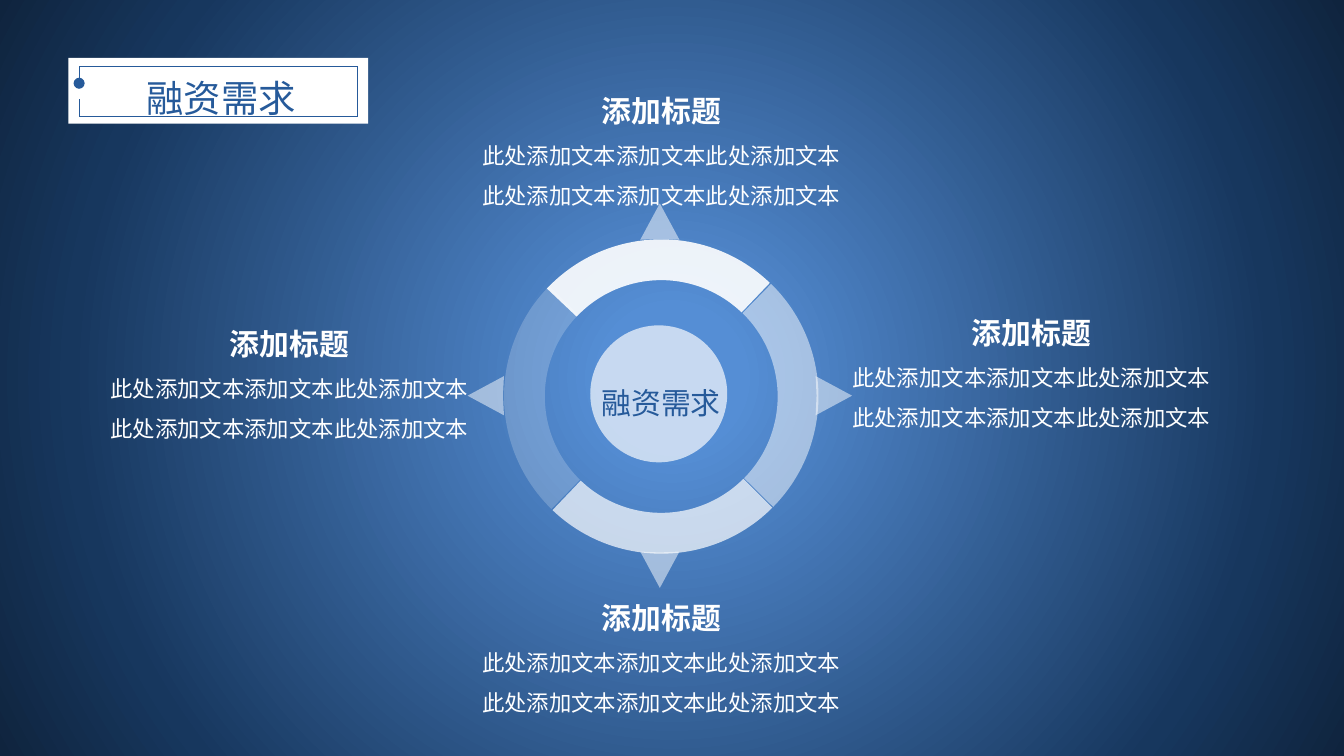
from lxml.etree import SubElement
from pptx import Presentation
from pptx.dml.color import RGBColor
from pptx.enum.shapes import MSO_CONNECTOR, MSO_SHAPE
from pptx.enum.text import MSO_ANCHOR, MSO_AUTO_SIZE, PP_ALIGN
from pptx.oxml import parse_xml
from pptx.oxml.ns import nsdecls, qn
from pptx.util import Pt

BLUE, WHITE = "265A9A", "FFFFFF"
FONT = "Noto Sans CJK SC"
FRAME_FORMAT = {"word_wrap": True, "auto_size": MSO_AUTO_SIZE.SHAPE_TO_FIT_TEXT,
                "vertical_anchor": MSO_ANCHOR.TOP}
PARAGRAPH_FORMAT = {"alignment": PP_ALIGN.CENTER, "line_spacing": 1.5}


def paint(fill, color, opacity=100):
    fill.solid()
    fill.fore_color.rgb = RGBColor.from_string(color)
    if opacity < 100:
        # The last srgbClr below the fill's parent is the one just set
        srgb = list(fill._xPr.iter(qn("a:srgbClr")))[-1]
        SubElement(srgb, qn("a:alpha"), val=str(opacity * 1000))


def write(frame, lines, color):
    for name, value in FRAME_FORMAT.items():
        setattr(frame, name, value)
    for i, (text, size, bold) in enumerate(lines):
        paragraph = frame.paragraphs[0] if i == 0 else frame.add_paragraph()
        for name, value in PARAGRAPH_FORMAT.items():
            setattr(paragraph, name, value)
        run = paragraph.add_run()
        run.text = text
        for name, value in {"size": Pt(size), "bold": bold, "name": FONT}.items():
            setattr(run.font, name, value)
        paint(run.font.fill, color)
        SubElement(run.font._element, qn("a:ea"), typeface=FONT)


prs = Presentation()
prs.slide_width, prs.slide_height = Pt(720), Pt(405)
slide = prs.slides.add_slide(prs.slide_layouts[5])
shapes = slide.shapes

# Radial background
slide.background.fill.solid()
background = slide.element.find(".//" + qn("p:bgPr"))
stops = "".join(f'<a:gs pos="{pos}000"><a:srgbClr val="{color}"/></a:gs>'
                for pos, color in [(9, "558ED5"), (78, "17375E"), (100, "0F243E")])
background.replace(background[0], parse_xml(
    f'<a:gradFill {nsdecls("a")} rotWithShape="1"><a:gsLst>{stops}</a:gsLst>'
    '<a:path path="circle"><a:fillToRect l="50000" t="50000" r="50000" b="50000"/>'
    '</a:path></a:gradFill>'))

# Title plate
plate = shapes.add_shape(MSO_SHAPE.RECTANGLE, Pt(36.7), Pt(31), Pt(160.6), Pt(35.3))
plate.shadow.inherit = False
paint(plate.fill, WHITE)
plate.line.fill.background()

# Open frame on the plate, with a dot at the end of its upper left stroke
left, top, right, bottom = 42.4, 35.7, 191.6, 62.3
for x1, y1, x2, y2, end in [
    (left, top, right, top, "none"),
    (right, top, right, bottom, "none"),
    (right, bottom, left, bottom, "none"),
    (left, top, left, 44.6, "oval"),
    (left, bottom, left, 53.2, "none"),
]:
    stroke = shapes.add_connector(MSO_CONNECTOR.STRAIGHT, Pt(x1), Pt(y1), Pt(x2), Pt(y2))
    stroke.line.width = Pt(0.25)
    paint(stroke.line.fill, BLUE)
    properties = stroke.element.spPr
    SubElement(properties.find(qn("a:ln")), qn("a:tailEnd"), type=end)
    SubElement(properties, qn("a:effectLst"))

# Title, lifted above the plate
title = shapes.title
for name, value in {"left": 45.4, "top": 24.5, "width": 146.2, "height": 39.6}.items():
    setattr(title, name, Pt(value))
write(title.text_frame, [("融资需求", 20, False)], BLUE)
stroke.element.addnext(title.element)

# Ring of four arcs
for flips, end_angle, opacity in [
    ([], 0.37, 50),
    (["flipH"], 0.37, 90),
    (["flipH", "flipV"], 0.37, 20),
    (["flipV"], 215.39, 70),
]:
    arc = shapes.add_shape(MSO_SHAPE.BLOCK_ARC, Pt(270), Pt(128.2), Pt(168.5), Pt(168.5))
    arc.shadow.inherit = False
    arc.rotation = 44
    for i, value in enumerate([162.17, end_angle, 0.13]):
        arc.adjustments[i] = value
    for flip in flips:
        arc.element.spPr.find(qn("a:xfrm")).set(flip, "1")
    paint(arc.fill, WHITE, opacity)
    arc.line.fill.background()

# Pointers around the ring: distance outwards and offset sideways
center_x, center_y = 353.5, 212
outline = [(83.5, -10.5), (103, 0), (83.5, 10.5), (84, 0)]
for dx, dy in [(1, 0), (-1, 0), (0, -1), (0, 1)]:
    corners = [(Pt(center_x + dx * out - dy * side), Pt(center_y + dy * out + dx * side))
               for out, side in outline]
    builder = shapes.build_freeform(*corners[0])
    builder.add_line_segments(corners[1:])
    pointer = builder.convert_to_shape()
    pointer.shadow.inherit = False
    paint(pointer.fill, WHITE, 50)
    pointer.line.fill.background()

# Hub and its label
hub = shapes.add_shape(MSO_SHAPE.FLOWCHART_CONNECTOR, Pt(316.2), Pt(174.3), Pt(73.4), Pt(73.4))
hub.shadow.inherit = False
paint(hub.fill, WHITE, 67)
hub.line.fill.background()
hub_label = shapes.add_textbox(Pt(306), Pt(193), Pt(96.5), Pt(36))
write(hub_label.text_frame, [("融资需求", 16, False)], BLUE)

# Four descriptions
description = [("添加标题", 16, True)] + [("此处添加文本添加文本此处添加文本", 12, False)] * 2
for x, y, width in [(242, 36.7, 224.6), (445.7, 155.5, 213.8),
                    (242, 308.2, 224.6), (46, 161.3, 218.2)]:
    note = shapes.add_textbox(Pt(x), Pt(y), Pt(width), Pt(80))
    write(note.text_frame, description, WHITE)

prs.save("out.pptx")
